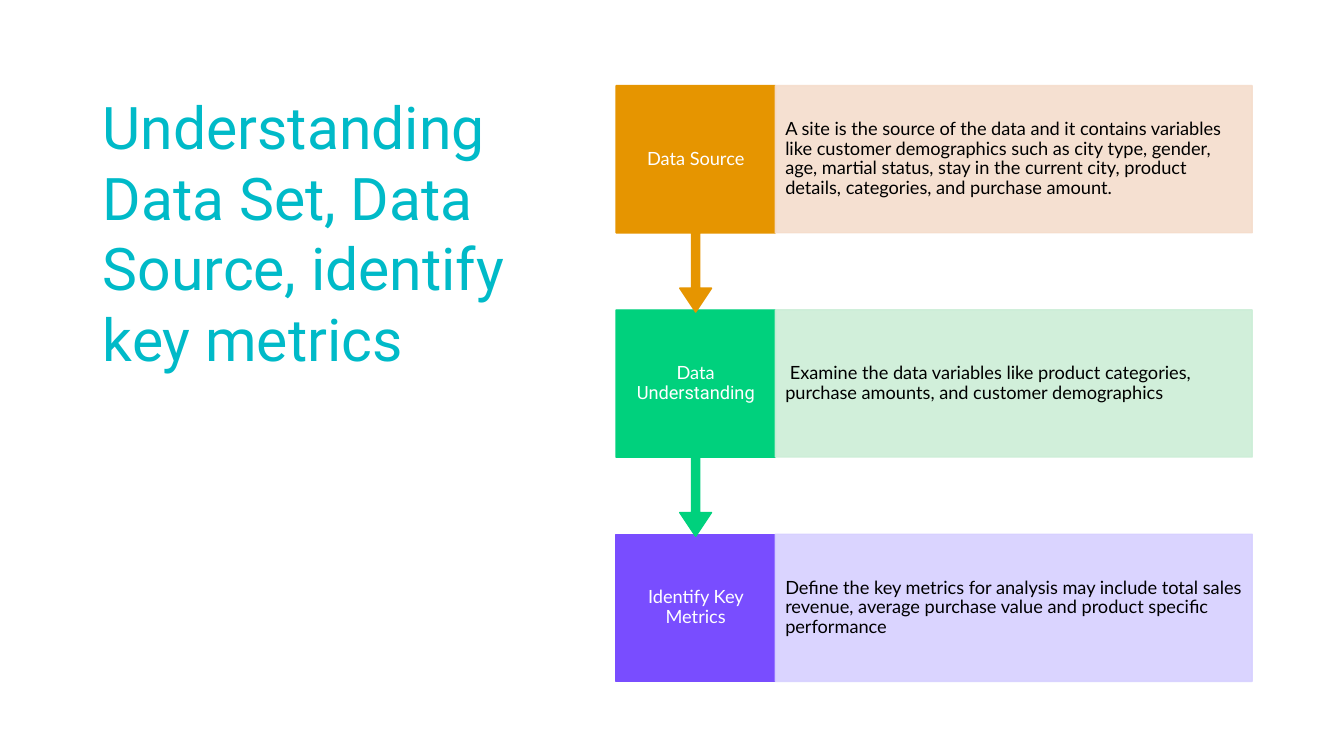
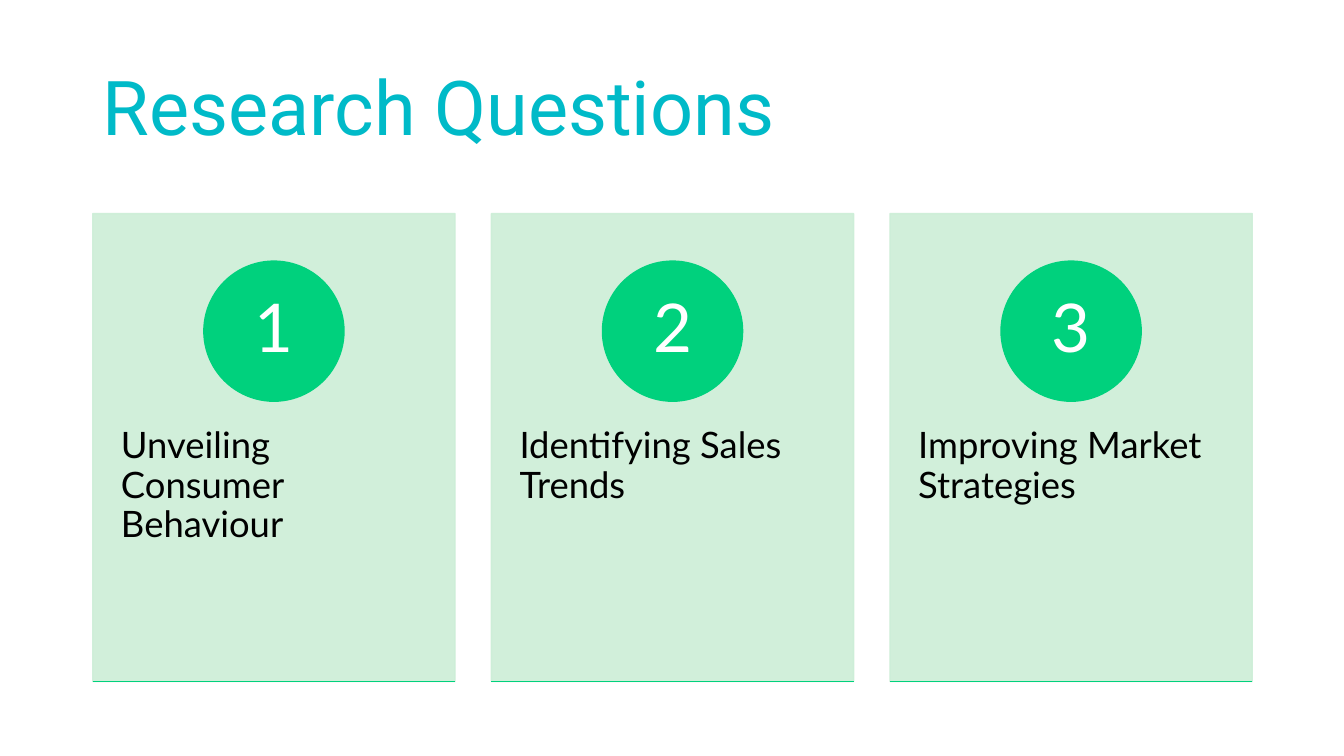
from lxml.etree import SubElement
from pptx import Presentation
from pptx.dml.color import RGBColor
from pptx.enum.shapes import MSO_CONNECTOR as Connector, MSO_SHAPE as Shape
from pptx.enum.text import MSO_ANCHOR as Anchor, MSO_AUTO_SIZE as AutoSize, PP_ALIGN as Align
from pptx.oxml.ns import qn
from pptx.util import Inches, Pt

WIDTH, HEIGHT = 13.33, 7.5
LEFT, RIGHT, BOTTOM = 0.92, 12.42, 6.76
TEAL, GREEN, PALE_GREEN = "00BAC8", "00D17D", "CCEED7"
ORANGE, PALE_ORANGE, PURPLE, PALE_PURPLE = "E69500", "F5DDCC", "794DFF", "D7D0FF"
WHITE, BLACK = "FFFFFF", "000000"
BODY_FONT, TITLE_FONT = "Lato", "Roboto"

STEPS_TITLE = "Understanding Data Set, Data Source, identify key metrics"
STEPS = [  # label runs, description, strong colour, pale colour
    ([("Data Source", BODY_FONT)],
     "A site is the source of the data and it contains variables like customer "
     "demographics such as city type, gender, age, martial status, stay in the current "
     "city, product details, categories, and purchase amount.",
     ORANGE, PALE_ORANGE),
    ([("Data ", BODY_FONT), ("Understanding", TITLE_FONT)],
     " Examine the data variables like product categories, purchase amounts, "
     "and customer demographics",
     GREEN, PALE_GREEN),
    ([("Identify Key Metrics", BODY_FONT)],
     "Define the key metrics for analysis may include total sales revenue, "
     "average purchase value and product specific performance",
     PURPLE, PALE_PURPLE),
]
QUESTIONS_TITLE = "Research Questions"
QUESTIONS = ["Unveiling Consumer Behaviour", "Identifying Sales Trends",
             "Improving Market Strategies"]


def rgb(code):
    return RGBColor.from_string(code)


def write(frame, runs, size, color, align=Align.LEFT, anchor=Anchor.MIDDLE,
          insets=(0.1, 0.05), spacing=None):
    """Fill a text frame with one paragraph; insets are (sides, top and bottom)."""
    frame.word_wrap = True
    frame.auto_size = AutoSize.NONE
    frame.vertical_anchor = anchor
    frame.margin_left = frame.margin_right = Inches(insets[0])
    frame.margin_top = frame.margin_bottom = Inches(insets[1])
    paragraph = frame.paragraphs[0]
    paragraph.alignment = align
    if spacing:
        paragraph.line_spacing = spacing
    for text, font in runs:
        run = paragraph.add_run()
        run.text = text
        run.font.name, run.font.size = font, Pt(size)
        run.font.color.rgb = rgb(color)


def add_title_slide(prs, title, size, box, anchor):
    slide = prs.slides.add_slide(prs.slide_layouts[5])
    holder = slide.shapes.title
    holder.left, holder.top, holder.width, holder.height = map(Inches, box)
    write(holder.text_frame, [(title, TITLE_FONT)], size, TEAL, anchor=anchor)
    return slide


def add_block(slide, preset, box, color, opacity=None):
    block = slide.shapes.add_shape(preset, *map(Inches, box))
    block.shadow.inherit = False
    block.fill.solid()
    block.fill.fore_color.rgb = block.line.color.rgb = rgb(color)
    block.line.width = Pt(1)
    if opacity:
        for paint in block._element.spPr.iter(qn("a:srgbClr")):
            SubElement(paint, qn("a:alpha")).set("val", str(opacity * 1000))
    return block


def add_rule(slide, left, right, y, color):
    rule = slide.shapes.add_connector(
        Connector.STRAIGHT, *map(Inches, (left, y, right, y)))
    rule.line.color.rgb = rgb(color)
    rule.line.width = Pt(1)
    SubElement(rule._element.spPr, qn("a:effectLst"))


def build_steps(prs):
    top, left, row_height, label_width = 0.85, 6.11, 1.46, 1.58
    slide = add_title_slide(prs, STEPS_TITLE, 42, (LEFT, top, 4.41, 5.9), Anchor.TOP)
    pitch = (BOTTOM - top - row_height) / (len(STEPS) - 1)
    split = left + label_width
    # Last step first, so that each arrowhead lies over the step below it
    for index, (label, description, strong, pale) in reversed(list(enumerate(STEPS))):
        y = top + index * pitch
        if index == len(STEPS) - 1:
            step = add_block(slide, Shape.RECTANGLE,
                             (left, y, label_width, row_height), strong)
        else:
            step = add_block(slide, Shape.DOWN_ARROW_CALLOUT,
                             (left, y, label_width, row_height / 0.65), strong)
            for place, share in enumerate((0.05, 0.1, 0.15, 0.65)):
                step.adjustments[place] = share
        write(step.text_frame, label, 13, WHITE, Align.CENTER,
              insets=(0.11, 0.1), spacing=0.9)
        panel = add_block(slide, Shape.RECTANGLE,
                          (split, y, RIGHT - split, row_height), pale, 90)
        write(panel.text_frame, [(description, BODY_FONT)], 13, BLACK,
              insets=(0.1, 0.18), spacing=0.9)


def build_questions(prs):
    slide = add_title_slide(prs, QUESTIONS_TITLE, 54, (LEFT, 0.4, 11.67, 1.14),
                            Anchor.BOTTOM)
    top, gap, circle = 2.12, 0.36, 1.39
    count = len(QUESTIONS)
    width = (RIGHT - LEFT - gap * (count - 1)) / count
    for index, question in enumerate(QUESTIONS):
        x = LEFT + index * (width + gap)
        card = add_block(slide, Shape.RECTANGLE, (x, top, width, BOTTOM - top),
                         PALE_GREEN, 90)
        write(card.text_frame, [(question, BODY_FONT)], 26, BLACK,
              anchor=Anchor.TOP, insets=(0.28, 0.36), spacing=0.9)
        card.text_frame.margin_top = Inches(2.12)
        badge = add_block(slide, Shape.OVAL,
                          (x + (width - circle) / 2, top + 0.47, circle, circle), GREEN)
        write(badge.text_frame, [(str(index + 1), BODY_FONT)], 48, WHITE,
              Align.CENTER, insets=(0.11, 0.01), spacing=0.9)
        add_rule(slide, x, x + width, BOTTOM, GREEN)


def main():
    prs = Presentation()
    prs.slide_width, prs.slide_height = Inches(WIDTH), Inches(HEIGHT)
    build_steps(prs)
    build_questions(prs)
    prs.save("out.pptx")


if __name__ == "__main__":
    main()
